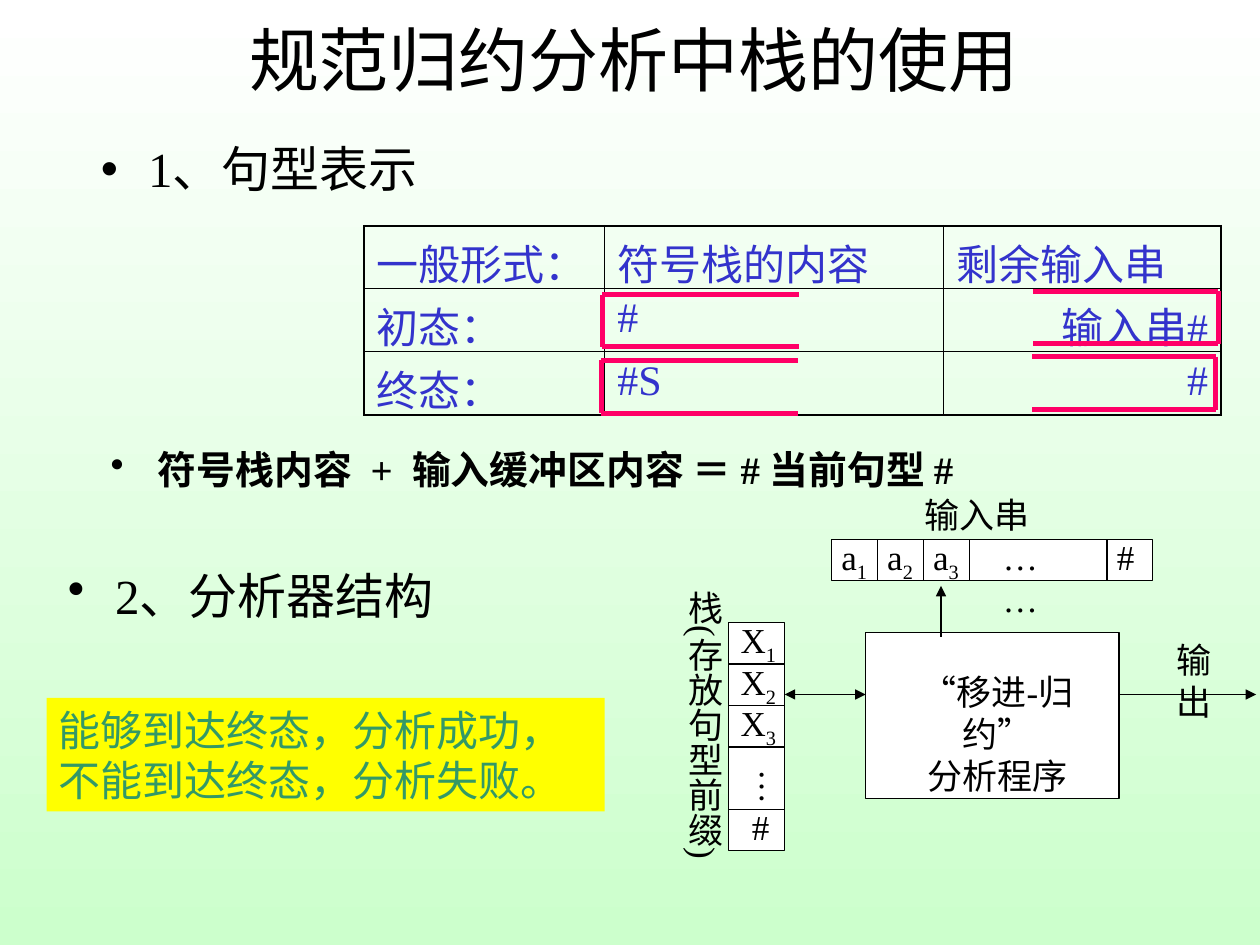
from pptx import Presentation
from pptx import util as u
from pptx.dml import color
from pptx.enum import shapes, text
from pptx.oxml import ns
from lxml import etree

BLACK = color.RGBColor(0, 0, 0)
WHITE = color.RGBColor(255, 255, 255)
MINT = color.RGBColor(0xCC, 0xFF, 0xCC)
BLUE = color.RGBColor(0x33, 0x33, 0xCC)
PINK = color.RGBColor(0xFF, 0x00, 0x66)
YELLOW = color.RGBColor(0xFF, 0xFF, 0x00)
GREEN = color.RGBColor(0x33, 0x99, 0x66)
FONT = "Times New Roman"


def add_label(left, top, width, height, content, subscript="", wrap=False):
    box = slide.shapes.add_textbox(u.Cm(left), u.Cm(top), u.Cm(width), u.Cm(height))
    box.text_frame.word_wrap = wrap
    box.text_frame.text = content
    if subscript:
        run = box.text_frame.paragraphs[0].add_run()
        run.text = subscript
        run._r.get_or_add_rPr().set("baseline", "-25000")
    for paragraph in box.text_frame.paragraphs:
        for run in paragraph.runs:
            run.font.name, run.font.size = FONT, u.Pt(20)
            run.font.color.rgb = BLACK
    return box


def add_line(x1, y1, x2, y2, line_color=BLACK, width=0.75, ends=()):
    line = slide.shapes.add_connector(
        shapes.MSO_CONNECTOR.STRAIGHT, u.Cm(x1), u.Cm(y1), u.Cm(x2), u.Cm(y2))
    line.line.color.rgb = line_color
    line.line.width = u.Pt(width)
    for end in ends:
        etree.SubElement(line.line._get_or_add_ln(), ns.qn("a:" + end), type="triangle")
    etree.SubElement(line._element.spPr, ns.qn("a:effectLst"))


presentation = Presentation()
presentation.slide_width, presentation.slide_height = u.Cm(25.4), u.Cm(19.05)
slide = presentation.slides.add_slide(presentation.slide_layouts[1])

background = slide.background.fill
background.gradient()
background.gradient_angle = 270
for stop, stop_color, position in zip(background.gradient_stops, (WHITE, MINT), (0, 1)):
    stop.color.rgb = stop_color
    stop.position = position

title, body = slide.placeholders
title.left, title.top, title.width, title.height = u.Cm(1.98), u.Cm(0), u.Cm(21.59), u.Cm(2.36)
title.text_frame.text = "规范归约分析中栈的使用"
title_font = title.text_frame.paragraphs[0].runs[0].font
title_font.name, title_font.size = FONT, u.Pt(40)
title_font.color.rgb = BLACK

body.left, body.top, body.width, body.height = u.Cm(1.78), u.Cm(2.67), u.Cm(7.24), u.Cm(1.75)
structure = slide.shapes.add_textbox(u.Cm(1.12), u.Cm(11.28), u.Cm(9.42), u.Cm(1.75))
formula = slide.shapes.add_textbox(u.Cm(1.98), u.Cm(8.86), u.Cm(21.95), u.Cm(1.24))
bullets = [
    (body, ["1、句型表示"], 28, False),
    (structure, ["2、分析器结构"], 28, False),
    (formula, ["符号栈内容", " ", "+", " ", "输入缓冲区内容 ＝ # 当前句型 #"], 22.2, True),
]
for box, pieces, size, bold in bullets:
    box.text_frame.word_wrap = True
    box.text_frame.auto_size = text.MSO_AUTO_SIZE.NONE
    paragraph = box.text_frame.paragraphs[0]
    properties = paragraph._p.get_or_add_pPr()
    properties.set("marL", str(u.Cm(0.95)))
    properties.set("indent", str(-u.Cm(0.95)))
    etree.SubElement(properties, ns.qn("a:buChar"), char="•")
    paragraph.space_before = u.Pt(0)
    for piece in pieces:
        run = paragraph.add_run()
        run.text = piece
        run.font.name, run.font.size, run.font.bold = FONT, u.Pt(size), bold
        run.font.color.rgb = BLACK
        if piece == " ":
            run._r.get_or_add_rPr().set("spc", "555")

INPUT_X, INPUT_Y, INPUT_WIDTH, INPUT_HEIGHT = 16.76, 10.87, 6.48, 0.84
STACK_X, STACK_Y, STACK_WIDTH, STACK_HEIGHT = 14.68, 12.55, 1.14, 4.6
PROGRAM_X, PROGRAM_Y, PROGRAM_WIDTH, PROGRAM_HEIGHT = 17.45, 12.75, 5.11, 3.35
for frame in [
    (INPUT_X, INPUT_Y, INPUT_WIDTH, INPUT_HEIGHT),
    (STACK_X, STACK_Y, STACK_WIDTH, STACK_HEIGHT),
    (PROGRAM_X, PROGRAM_Y, PROGRAM_WIDTH, PROGRAM_HEIGHT),
]:
    shape = slide.shapes.add_shape(shapes.MSO_SHAPE.RECTANGLE, *map(u.Cm, frame))
    shape.shadow.inherit = False
    shape.fill.solid()
    shape.fill.fore_color.rgb = WHITE
    shape.line.color.rgb = BLACK
    shape.line.width = u.Pt(0.75)

input_cell = INPUT_WIDTH / 7
for step in (1, 2, 3, 6):
    x = INPUT_X + step * input_cell
    add_line(x, INPUT_Y, x, INPUT_Y + INPUT_HEIGHT)
for step, symbol, subscript in [(0, "a", "1"), (1, "a", "2"), (2, "a", "3"), (6, "#", "")]:
    add_label(INPUT_X + step * input_cell - 0.05, 10.67, 1.02, 1.12, symbol, subscript)
add_label(INPUT_X + 3 * input_cell + 0.43, 10.67, 1.91, 1.12, "……")

stack_cell = STACK_HEIGHT / 5.5
for step in (1, 2, 3, 4.5):
    y = STACK_Y + step * stack_cell
    add_line(STACK_X, y, STACK_X + STACK_WIDTH, y)
for step, symbol, subscript, shift in [
        (0, "X", "1", 0), (1, "X", "2", 0), (2, "X", "3", 0), (4.5, "#", "", 0.23)]:
    add_label(STACK_X + shift, STACK_Y + step * stack_cell - 0.2, 1.45, 1.12,
              symbol, subscript, wrap=True)

for left, top, width, height, content in [
    (14.81, 15.27, 1.35, 0.97, "…"),
    (13.41, 11.66, 1.35, 6.2, "栈(存放句型前缀)"),
]:
    box = add_label(left, top, width, height, content)
    box.text_frame._txBody.bodyPr.set("vert", "eaVert")
    box.text_frame.margin_left = box.text_frame.margin_right = u.Cm(0.13)
    box.text_frame.margin_top = box.text_frame.margin_bottom = u.Cm(0.25)

program = add_label(17.68, 13.39, 4.85, 1.96, "“移进-归约”\n分析程序", wrap=True)
for paragraph in program.text_frame.paragraphs:
    paragraph.alignment = text.PP_ALIGN.CENTER
add_label(23.47, 12.75, 1.91, 1.12, "输出")
add_label(18.39, 9.83, 2.62, 1.12, "输入串")

add_line(18.97, 11.81, 18.97, 12.85, ends=["headEnd"])
add_line(STACK_X + STACK_WIDTH, 14, PROGRAM_X, 14, ends=["headEnd", "tailEnd"])
add_line(PROGRAM_X + PROGRAM_WIDTH, 14, 25.32, 14, ends=["tailEnd"])

rows = [
    ("一般形式：", "符号栈的内容", "剩余输入串"),
    ("初态：", "#", "输入串#"),
    ("终态：", "#S", "#"),
]
table = slide.shapes.add_table(
    3, 3, u.Cm(7.34), u.Cm(4.55), u.Cm(17.27), u.Cm(3.81)).table
table.first_row = table.horz_banding = False
for column, width in zip(table.columns, (4.85, 6.83, 5.59)):
    column.width = u.Cm(width)
for row_index, row in enumerate(rows):
    table.rows[row_index].height = u.Cm(1.27)
    for column_index, content in enumerate(row):
        cell = table.cell(row_index, column_index)
        cell.text_frame.text = content
        paragraph = cell.text_frame.paragraphs[0]
        if row_index and column_index == 2:
            paragraph.alignment = text.PP_ALIGN.RIGHT
        font = paragraph.runs[0].font
        font.name, font.size = FONT, u.Pt(24)
        font.color.rgb = BLUE
        properties = cell._tc.get_or_add_tcPr()
        outer_edges = {"lnL": column_index == 0, "lnR": column_index == 2,
                       "lnT": row_index == 0, "lnB": row_index == 2}
        for edge, outer in outer_edges.items():
            border = etree.SubElement(properties, ns.qn("a:" + edge),
                                      w=str(u.Pt(1.08 if outer else 0.45)))
            fill = etree.SubElement(border, ns.qn("a:solidFill"))
            etree.SubElement(fill, ns.qn("a:srgbClr"), val=str(BLACK))
        cell.fill.background()

verdict = add_label(0.94, 14.07, 11.25, 2.29,
                    "能够到达终态，分析成功，不能到达终态，分析失败。", wrap=True)
verdict.fill.solid()
verdict.fill.fore_color.rgb = YELLOW
verdict_font = verdict.text_frame.paragraphs[0].runs[0].font
verdict_font.size = u.Pt(24)
verdict_font.color.rgb = GREEN

for spine, tip, top, bottom in [
    (12.14, 16.1, 5.94, 6.99),
    (24.56, 20.83, 5.87, 6.93),
    (12.12, 16.08, 7.26, 8.33),
    (24.51, 20.8, 7.19, 8.26),
]:
    add_line(spine, top, tip, top, PINK, 3)
    add_line(spine, top, spine, bottom, PINK, 3)
    add_line(spine, bottom, tip, bottom, PINK, 3)

presentation.save("out.pptx")
